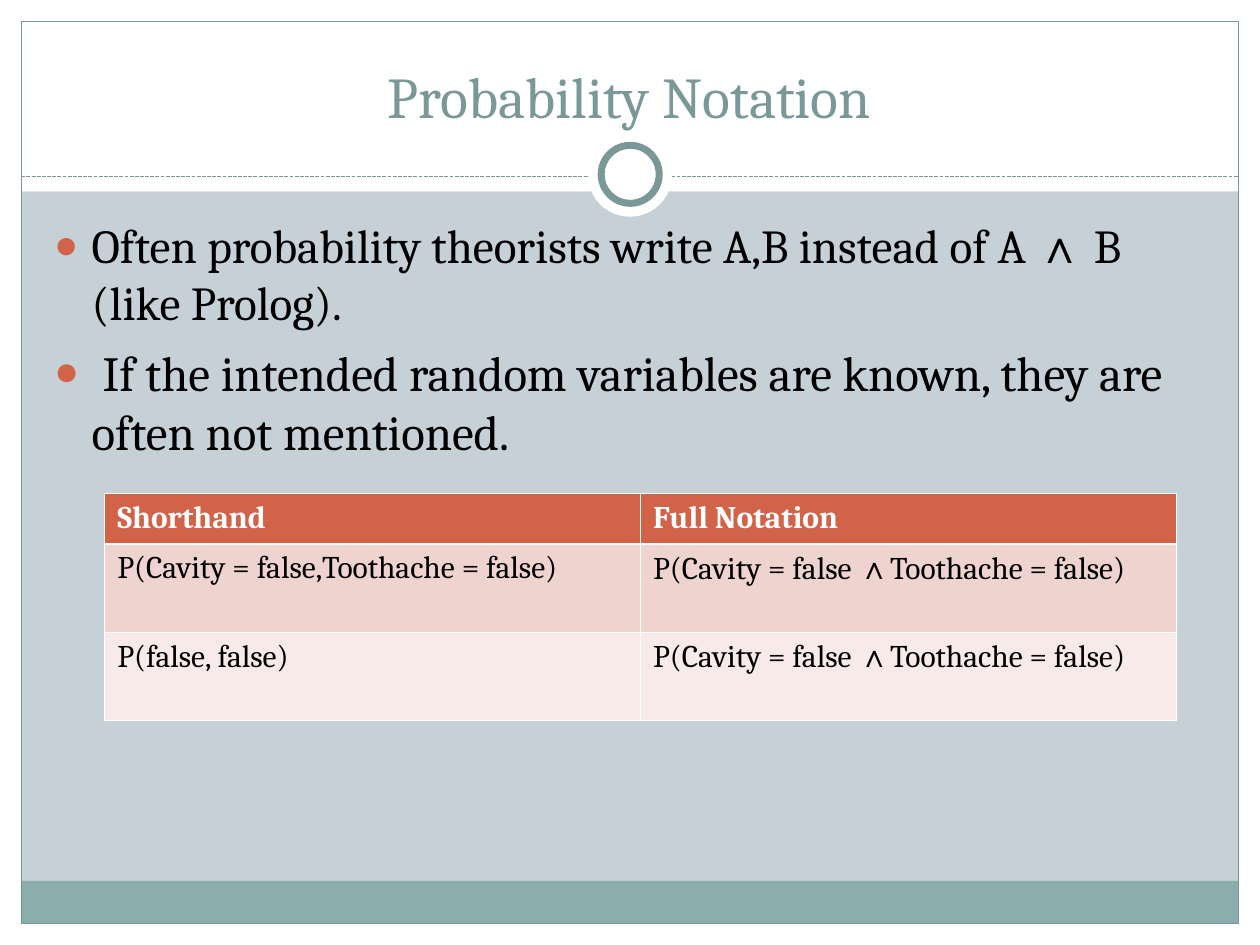
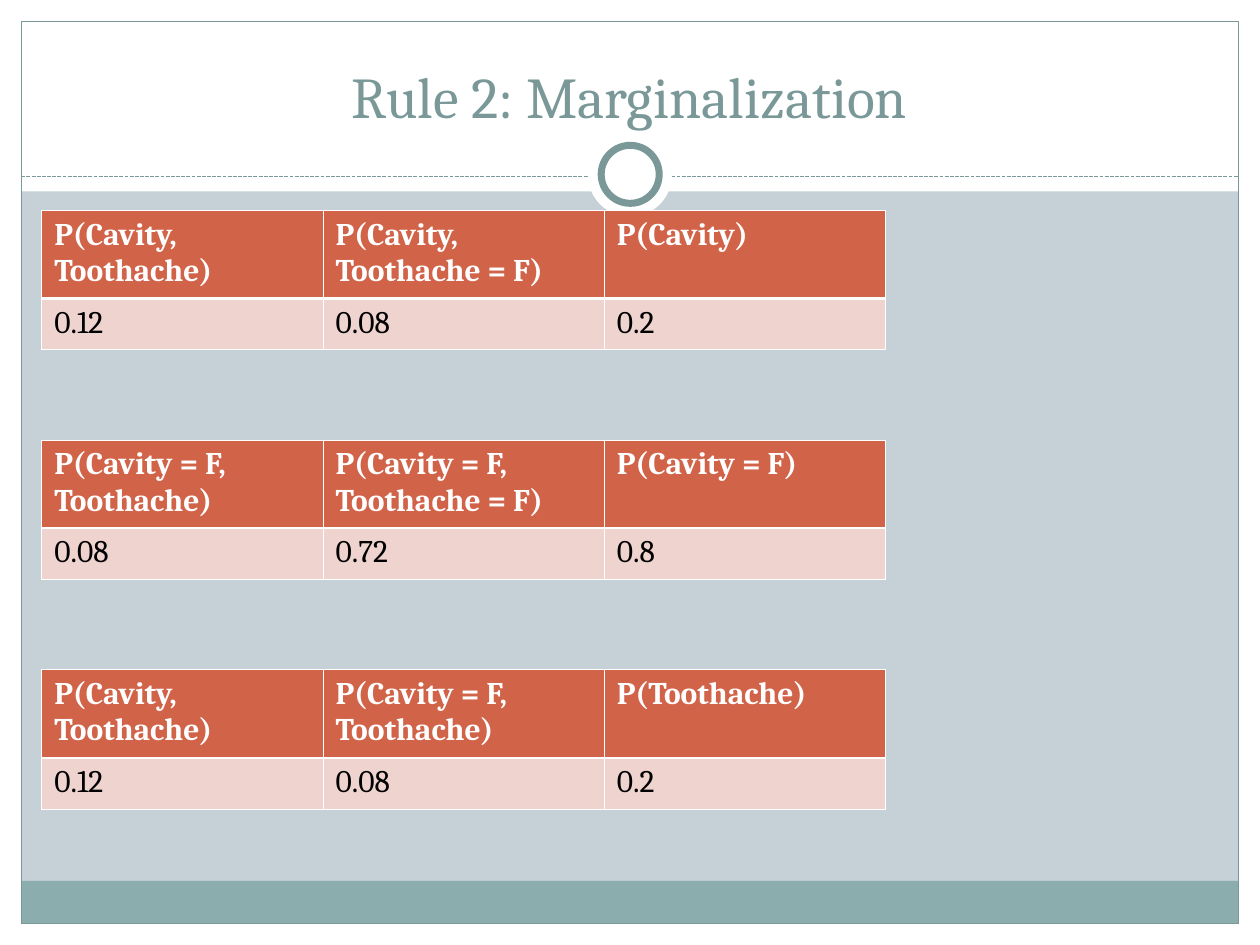
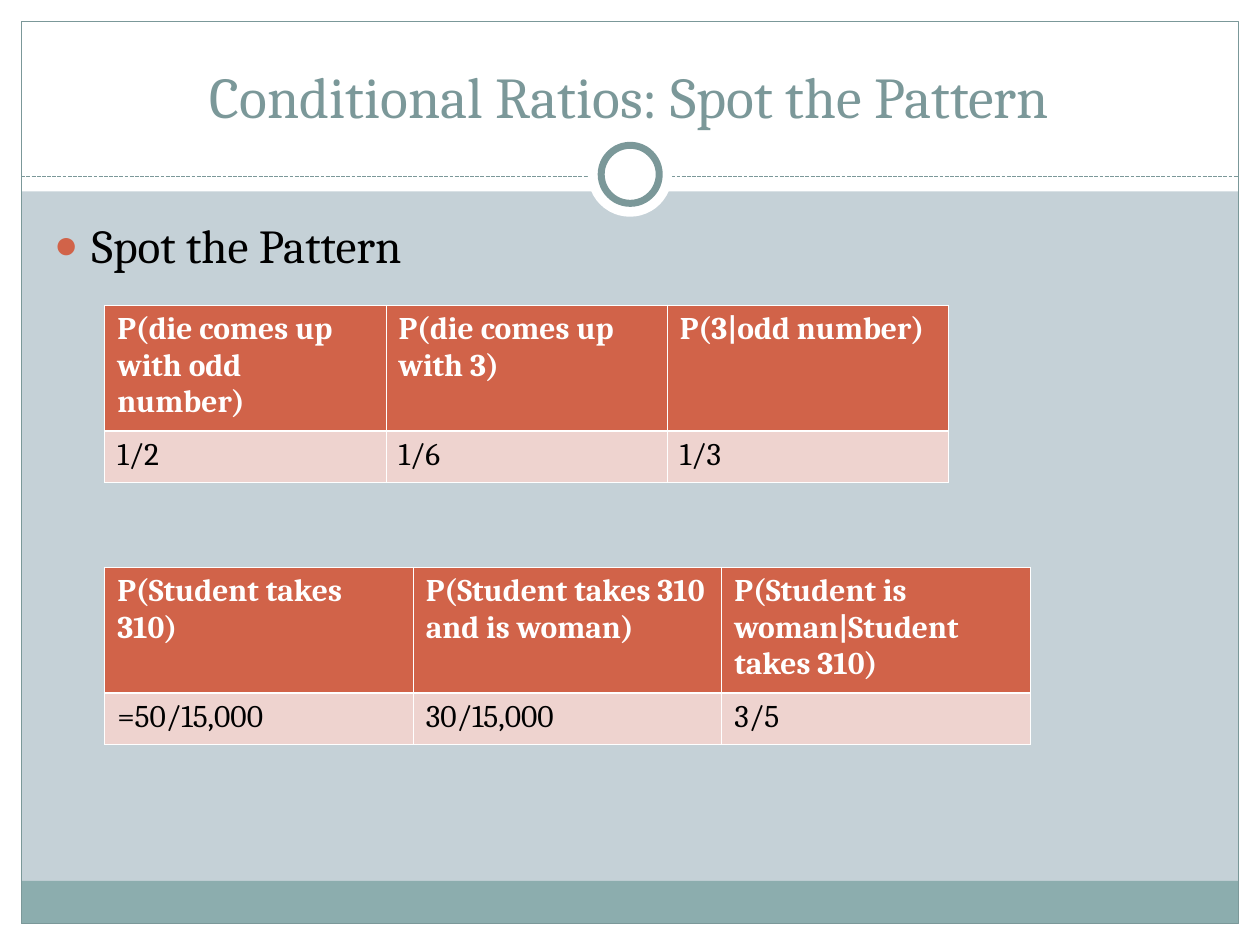
import pptx
import pptx.dml.color
import pptx.enum.dml
import pptx.enum.shapes
import pptx.enum.text
import pptx.oxml
import pptx.oxml.ns
import pptx.util
from lxml import etree

Cm = pptx.util.Cm
Pt = pptx.util.Pt
SHAPES = pptx.enum.shapes.MSO_SHAPE

COLORS = {
    "paper": "FFFFFF", "ground": "C5D1D7", "band": "8CADAE", "accent": "7B9899",
    "ink": "000000", "header": "D16349", "odd_row": "EED3CF", "even_row": "F7EAE9",
}
TEXT_FONT, SYMBOL_FONT = "Cambria", "Arial"
SLIDE_W, SLIDE_H, MARGIN = 25.4, 19.05, 0.43
INNER_W = SLIDE_W - 2 * MARGIN
CONTENT_LEFT, CONTENT_TOP, TABLE_LEFT = 0.84, 4.24, 2.11


def rgb(name):
    return pptx.dml.color.RGBColor.from_string(COLORS[name])


def set_values(target, values):
    for name, value in values.items():
        setattr(target, name, value)


def add_xml(parent, tag, **attributes):
    return etree.SubElement(parent, pptx.oxml.ns.qn(tag), attributes)


class Deck:
    """Holds the shared style and the slide being built."""

    def __init__(self):
        self.presentation = pptx.Presentation()
        set_values(self.presentation,
                   {"slide_width": Cm(SLIDE_W), "slide_height": Cm(SLIDE_H)})
        self.layout = self.presentation.slide_layouts[5]
        self.slide = None

    def start_slide(self, title):
        first = self.slide is None
        self.slide = self.presentation.slides.add_slide(self.layout)
        if first:
            self.decorate_layout()
        heading = self.slide.shapes.title
        set_values(heading, {"left": Cm(CONTENT_LEFT), "top": Cm(0.64),
                             "width": Cm(23.7), "height": Cm(2.11)})
        set_values(heading.text_frame, {
            "vertical_anchor": pptx.enum.text.MSO_ANCHOR.BOTTOM, "word_wrap": True,
            "auto_size": pptx.enum.text.MSO_AUTO_SIZE.NONE})
        paragraph = heading.text_frame.paragraphs[0]
        paragraph.alignment = pptx.enum.text.PP_ALIGN.CENTER
        self.add_text(paragraph, title, 33, "accent")

    def decorate_layout(self):
        """Draw the frame once and hand it to the layout all slides use."""
        background = self.layout.background.fill
        background.solid()
        background.fore_color.rgb = rgb("ground")
        for placeholder in list(self.layout.placeholders):
            if placeholder.placeholder_format.idx:
                self.layout.shapes.element.remove(placeholder.element)

        bottom = SLIDE_H - MARGIN
        rectangle, ellipse = SHAPES.RECTANGLE, SHAPES.OVAL
        parts = [
            self.shape(rectangle, 0, bottom, SLIDE_W, MARGIN, "paper"),
            self.shape(rectangle, 0, 0, SLIDE_W, 3.86, "paper"),
            self.shape(rectangle, 0, 0, MARGIN, SLIDE_H, "paper"),
            self.shape(rectangle, SLIDE_W - MARGIN, 0, MARGIN, SLIDE_H, "paper"),
            self.shape(rectangle, MARGIN, 17.76, INNER_W, 0.86, "band"),
            self.shape(rectangle, MARGIN, MARGIN, INNER_W, SLIDE_H - 2 * MARGIN, line_width=0.75),
            self.dashed_line(MARGIN, SLIDE_W - MARGIN, 3.56),
            self.shape(ellipse, 11.85, 2.67, 1.7, 1.7, "paper"),
            self.shape(ellipse, 12.12, 2.93, 1.17, 1.17, "paper", 4),
        ]
        for part in parts:
            self.layout.shapes.element.append(part.element)

    def shape(self, kind, left, top, width, height, fill=None, line_width=None):
        shape = self.slide.shapes.add_shape(kind, Cm(left), Cm(top), Cm(width), Cm(height))
        shape.shadow.inherit = False
        if fill:
            shape.fill.solid()
            shape.fill.fore_color.rgb = rgb(fill)
        else:
            shape.fill.background()
        if line_width:
            shape.line.width = Pt(line_width)
            shape.line.color.rgb = rgb("accent")
        else:
            shape.line.fill.background()
        return shape

    def dashed_line(self, left, right, height):
        rule = self.slide.shapes.add_connector(
            pptx.enum.shapes.MSO_CONNECTOR.STRAIGHT,
            Cm(left), Cm(height), Cm(right), Cm(height))
        rule.line.color.rgb = rgb("accent")
        set_values(rule.line, {"width": Pt(0.75),
                               "dash_style": pptx.enum.dml.MSO_LINE.SQUARE_DOT})
        add_xml(rule.element.spPr, "a:effectLst")
        return rule

    def add_text(self, paragraph, text, size, color, bold=False):
        """Add the text, with each logical symbol in the symbol font."""
        for index, part in enumerate(text.split("∧")):
            pieces = [("∧", SYMBOL_FONT)] if index else []
            for piece, font_name in pieces + [(part, TEXT_FONT)]:
                run = paragraph.add_run()
                run.text = piece
                set_values(run.font, {"name": font_name, "size": Pt(size), "bold": bold})
                run.font.color.rgb = rgb(color)

    def bullets(self, height, points):
        box = self.slide.shapes.add_textbox(
            Cm(CONTENT_LEFT), Cm(CONTENT_TOP), Cm(23.62), Cm(height))
        frame = box.text_frame
        frame.word_wrap = True
        for index, (text, size) in enumerate(points):
            paragraph = frame.add_paragraph() if index else frame.paragraphs[0]
            paragraph.space_before = Pt(size / 4)
            properties = paragraph._p.get_or_add_pPr()
            properties.set("marL", str(Cm(0.76)))
            properties.set("indent", str(-Cm(0.76)))
            bullet_color = add_xml(properties, "a:buClr")
            add_xml(bullet_color, "a:srgbClr", val=COLORS["header"])
            add_xml(properties, "a:buSzPct", val="85000")
            add_xml(properties, "a:buFont", typeface=SYMBOL_FONT)
            add_xml(properties, "a:buChar", char="●")
            self.add_text(paragraph, text, size, "ink")

    def table(self, left, top, column_width, row_heights, rows):
        grid = self.slide.shapes.add_table(
            len(rows), len(rows[0]), Cm(left), Cm(top),
            Cm(column_width * len(rows[0])), Cm(sum(row_heights))).table
        set_values(grid, {"first_row": False, "horz_banding": False})
        for column in grid.columns:
            column.width = Cm(column_width)
        fills = ["header", "odd_row", "even_row"]
        for index, (row, height, texts) in enumerate(zip(grid.rows, row_heights, rows)):
            row.height = Cm(height)
            for cell, text in zip(row.cells, texts):
                self.borders(cell, index)
                cell.fill.solid()
                cell.fill.fore_color.rgb = rgb(fills[index])
                self.add_text(cell.text_frame.paragraphs[0], text, 18,
                              "ink" if index else "paper", bold=index == 0)

    def borders(self, cell, row_index):
        """Thin white borders, with a thicker one under the header row."""
        thick_side = {0: "B", 1: "T"}.get(row_index)
        properties = cell._tc.get_or_add_tcPr()
        for side in "LRTB":
            width = Pt(1.47 if side == thick_side else 0.45)
            border = add_xml(properties, f"a:ln{side}", w=str(width))
            add_xml(add_xml(border, "a:solidFill"), "a:srgbClr", val=COLORS["paper"])


def main():
    deck = Deck()

    deck.start_slide("Probability Notation")
    deck.bullets(12.7, [
        ("Often probability theorists write A,B instead of A ∧ B (like Prolog).", 27),
        (" If the intended random variables are known, they are often not mentioned.", 28),
    ])
    full_notation = "P(Cavity = false ∧Toothache = false)"
    deck.table(TABLE_LEFT, 9.95, 10.8, [1.02, 1.78, 1.78], [
        ["Shorthand", "Full Notation"],
        ["P(Cavity = false,Toothache = false)", full_notation],
        ["P(false, false)", full_notation],
    ])

    deck.start_slide("Rule 2: Marginalization")
    marginals = [
        [["P(Cavity, Toothache)", "P(Cavity, Toothache = F)", "P(Cavity)"],
         ["0.12", "0.08", "0.2"]],
        [["P(Cavity = F, Toothache)", "P(Cavity = F, Toothache = F)", "P(Cavity = F)"],
         ["0.08", "0.72", "0.8"]],
        [["P(Cavity, Toothache)", "P(Cavity = F, Toothache)", "P(Toothache)"],
         ["0.12", "0.08", "0.2"]],
    ]
    for index, rows in enumerate(marginals):
        deck.table(CONTENT_LEFT, CONTENT_TOP + 4.63 * index, 5.67, [1.78, 1.03], rows)

    deck.start_slide("Conditional Ratios: Spot the Pattern")
    deck.bullets(1.9, [("Spot the Pattern", 27)])
    ratios = [
        (6.15, 5.67, [
            ["P(die comes up with odd number)", "P(die comes up with 3)", "P(3|odd number)"],
            ["1/2", "1/6", "1/3"]]),
        (11.43, 6.22, [
            ["P(Student takes 310)", "P(Student takes 310 and is woman)",
             "P(Student is woman|Student takes 310)"],
            ["=50/15,000", "30/15,000", "3/5"]]),
    ]
    for top, column_width, rows in ratios:
        deck.table(TABLE_LEFT, top, column_width, [2.54, 1.03], rows)

    deck.presentation.save("out.pptx")


if __name__ == "__main__":
    main()
